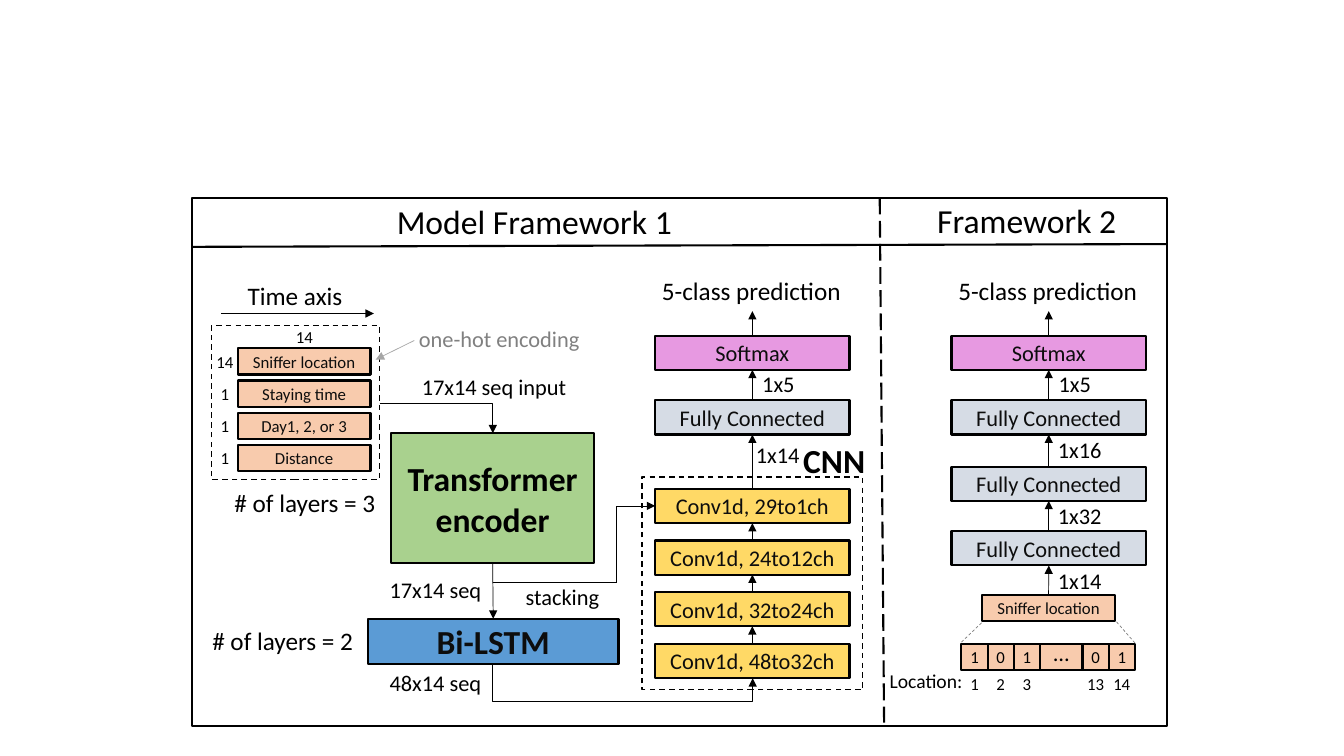
from collections import namedtuple
from itertools import pairwise
from math import cos, radians, sin

from lxml.etree import SubElement
from pptx import Presentation
from pptx.dml.color import RGBColor
from pptx.enum.dml import MSO_LINE_DASH_STYLE as Dash
from pptx.enum.shapes import MSO_CONNECTOR as Link, MSO_SHAPE as Preset
from pptx.enum.text import MSO_ANCHOR as Anchor, MSO_AUTO_SIZE as AutoSize, PP_ALIGN as Align
from pptx.oxml.ns import qn
from pptx.util import Cm, Pt

COLORS = {
    "black": "000000", "ink": "0D0D0D", "gray": "808080", "pale_gray": "A6A6A6",
    "transformer": "A9D18E", "lstm": "5B9BD5", "feature": "F8CBAD",
    "conv": "FFD966", "dense": "D6DCE5", "softmax": "E799E1",
}
FONT = "Calibri"
TOP, BOTTOM = 0, 2
LAYER_HEIGHT = 0.86
BAR_WIDTH, BAR_HEIGHT = 3.35, 0.66

Box = namedtuple("Box", "left top width height")


def rgb(color):
    return RGBColor.from_string(COLORS[color])


def write(frame, text, size, color, bold=False, align=Align.LEFT):
    paragraph = frame.paragraphs[0]
    paragraph.text = text
    paragraph.alignment = align
    font = paragraph.font
    font.name, font.size, font.bold = FONT, Pt(size), bold
    font.color.rgb = rgb(color)


def label(slide, box, x, y, width, text, size=16, color="black", bold=False, align=Align.LEFT):
    height = 0.254 + size * 0.0423
    frame = slide.shapes.add_textbox(
        Cm(box.left + x), Cm(box.top + y), Cm(width), Cm(height)).text_frame
    frame.word_wrap = False
    frame.auto_size = AutoSize.SHAPE_TO_FIT_TEXT
    write(frame, text, size, color, bold, align)


def block(slide, box, x, y, width, height, text="", fill=None, size=16,
          color="ink", bold=False, weight=1.5, dash=None):
    shape = slide.shapes.add_shape(
        Preset.RECTANGLE, Cm(box.left + x), Cm(box.top + y), Cm(width), Cm(height))
    shape.shadow.inherit = False
    if fill:
        shape.fill.solid()
        shape.fill.fore_color.rgb = rgb(fill)
    else:
        shape.fill.background()
    shape.line.color.rgb = rgb("black")
    shape.line.width = Pt(weight)
    if dash:
        shape.line.dash_style = dash
    if text:
        shape.text_frame.vertical_anchor = Anchor.MIDDLE
        write(shape.text_frame, text, size, color, bold, Align.CENTER)
    return shape


def line(slide, box, start, end, color="black", weight=0.5, dash=None, arrow=False, kind=Link.STRAIGHT):
    link = slide.shapes.add_connector(
        kind, Cm(box.left + start[0]), Cm(box.top + start[1]),
        Cm(box.left + end[0]), Cm(box.top + end[1]))
    link.line.color.rgb = rgb(color)
    link.line.width = Pt(weight)
    if dash:
        link.line.dash_style = dash
    if arrow:
        SubElement(link.get_or_add_ln(), qn("a:tailEnd"), type="triangle")
    SubElement(link.element.spPr, qn("a:effectLst"))
    return link


def arrow_between(slide, box, source, target, source_side, target_side):
    link = line(slide, box, (0, 0), (1, 1), arrow=True)
    link.begin_connect(source, source_side)
    link.end_connect(target, target_side)


def elbow_arrow(slide, box, start, end, turn=0, bend=None):
    middle = [(a + b) / 2 for a, b in zip(start, end)]
    angle = radians(-turn)

    def unturned(point):
        dx, dy = point[0] - middle[0], point[1] - middle[1]
        return (middle[0] + dx * cos(angle) - dy * sin(angle),
                middle[1] + dx * sin(angle) + dy * cos(angle))

    link = line(slide, box, unturned(start), unturned(end), arrow=True, kind=Link.ELBOW)
    properties = link.element.spPr
    properties.find(qn("a:xfrm")).set("rot", str(turn * 60000))
    geometry = properties.find(qn("a:prstGeom"))
    if bend is None:
        geometry.set("prst", "bentConnector2")
    else:
        guides = geometry.find(qn("a:avLst"))
        SubElement(guides, qn("a:gd"), name="adj1", fmla=f"val {round(bend * 100000)}")


def frame_region(slide, box):
    block(slide, box, 0, 0, box.width, box.height)
    line(slide, box, (17.34, 0), (17.45, 13.23), weight=1.5, dash=Dash.LONG_DASH)
    line(slide, box, (0, 1.24), (box.width, 1.17), weight=1.5)
    label(slide, box, 4.92, -0.05, 7.49, "Model Framework 1", 24)
    label(slide, box, 18.54, -0.08, 5.05, "Framework 2", 24)


def input_region(slide, box):
    block(slide, box, 0, 0, box.width, box.height, weight=1, dash=Dash.DASH)
    features = [("Sniffer location", "14"), ("Staying time", "1"),
                ("Day1, 2, or 3", "1"), ("Distance", "1")]
    for row, (feature, rows) in enumerate(features):
        block(slide, box, 0.66, 0.58 + 0.81 * row, BAR_WIDTH, BAR_HEIGHT, feature, "feature", 12)
        label(slide, box, -0.13, 0.55 + 0.8 * row, 0.94, rows, 12, align=Align.CENTER)
    label(slide, box, 1.88, -0.1, 0.94, "14", 12)
    label(slide, box, 0.33, 3.96, 4.11, "# of layers = 3", 18)
    label(slide, box, 0.66, -1.27, 2.92, "Time axis", 18)
    line(slide, box, (0.25, -0.3), (4.09, -0.3), arrow=True)
    label(slide, box, 4.98, -0.13, 4.75, "one-hot encoding", color="gray")
    line(slide, box, (5.11, 0.38), (4.14, 0.86), color="pale_gray", arrow=True)
    label(slide, box, 5.05, 1.07, 4.27, "17x14 seq input")


def encoder_region(slide, box):
    transformer = block(slide, box, 0.58, 0, 5.13, 3.28, "Transformer encoder",
                        "transformer", 24, "black", True)
    lstm = block(slide, box, 0, 4.67, box.width, 1.15, "Bi-LSTM", "lstm", 24, bold=True)
    arrow_between(slide, box, transformer, lstm, BOTTOM, TOP)
    label(slide, box, 0.3, 3.48, 2.84, "17x14 seq")
    label(slide, box, -4.17, 4.7, 4.11, "# of layers = 2", 18)
    label(slide, box, 0.3, 5.82, 2.84, "48x14 seq")
    label(slide, box, 3.73, 3.66, 2.39, "stacking")
    elbow_arrow(slide, box, (0.3, -0.76), (3.15, 0))
    line(slide, box, (3.15, 3.76), (6.27, 3.76))
    elbow_arrow(slide, box, (6.27, 3.76), (7.24, 1.83), turn=90)
    elbow_arrow(slide, box, (3.15, 5.82), (9.7, 6.17), turn=270, bend=2.7)


def layer_stack(slide, box, layers):
    shapes = [block(slide, box, 0, top, box.width, LAYER_HEIGHT, text, fill)
              for text, fill, top in layers]
    for upper, lower in pairwise(shapes):
        arrow_between(slide, box, lower, upper, TOP, BOTTOM)
    output = line(slide, box, (box.width / 2, 0), (box.width / 2, -0.62), arrow=True)
    output.begin_connect(shapes[0], TOP)
    label(slide, box, -0.08, -1.65, 5.08, "5-class prediction", 18)
    label(slide, box, 2.45, 0.74, 1.35, "1x5")
    return shapes


def cnn_region(slide, box):
    block(slide, box, -0.33, 3.56, 5.56, 5.36, weight=1, dash=Dash.DASH)
    channels = ["29to1ch", "24to12ch", "32to24ch", "48to32ch"]
    layer_stack(slide, box, [
        ("Softmax", "softmax", 0), ("Fully Connected", "dense", 1.63),
        *((f"Conv1d, {change}", "conv", 3.86 + 1.3 * row) for row, change in enumerate(channels))])
    label(slide, box, 2.29, 2.54, 1.63, "1x14")
    label(slide, box, 3.48, 2.51, 2.08, "CNN", 24, bold=True)


def dense_region(slide, box):
    tops = [1.63, 3.3, 4.93]
    layers = layer_stack(slide, box, [
        ("Softmax", "softmax", 0), *(("Fully Connected", "dense", top) for top in tops)])
    sniffer = block(slide, box, 0.77, 6.53, BAR_WIDTH, BAR_HEIGHT, "Sniffer location", "feature", 12)
    arrow_between(slide, box, sniffer, layers[-1], TOP, BOTTOM)
    for top, size in zip(tops, ["1x16", "1x32", "1x14"]):
        label(slide, box, 2.43, top + 0.77, 1.63, size)


def location_region(slide, box):
    block(slide, box, 0, 0, box.width, box.height, fill="feature")
    cell = 0.66
    dividers = [cell, 2 * cell, 3 * cell, box.width - 2 * cell, box.width - cell]
    for x in dividers:
        line(slide, box, (x, box.height), (x, 0), weight=1.5)
    edges = [0, *dividers, box.width]
    slots = [("1", "1"), ("0", "2"), ("1", "3"), ("…", ""), ("0", "13"), ("1", "14")]
    for (left, right), (bit, place) in zip(pairwise(edges), slots):
        x = (left + right - 0.94) / 2
        if place:
            label(slide, box, x, -0.05, 0.94, bit, 12, align=Align.CENTER)
            label(slide, box, x, 0.61, 0.94, place, 12, align=Align.CENTER)
        else:
            label(slide, box, x, -0.25, 0.94, bit, align=Align.CENTER)
    label(slide, box, -2.06, 0.51, 2.36, "Location:", 14)
    for start, end in [((0, -0.05), (0.53, -0.56)), ((box.width, -0.03), (3.89, -0.58))]:
        line(slide, box, start, end, color="gray", dash=Dash.DASH)


def main():
    presentation = Presentation()
    presentation.slide_width, presentation.slide_height = Cm(33.87), Cm(19.05)
    slide = presentation.slides.add_slide(presentation.slide_layouts[6])
    encoder_region(slide, Box(9.27, 10.92, 6.32, 5.82))
    input_region(slide, Box(5.33, 8.2, 4.24, 3.89))
    cnn_region(slide, Box(16.51, 8.46, 4.9, 8.64))
    dense_region(slide, Box(23.98, 8.46, 4.9, 7.19))
    location_region(slide, Box(24.23, 16.23, 4.37, 0.66))
    frame_region(slide, Box(4.83, 4.98, 24.59, 13.31))
    presentation.save("out.pptx")


if __name__ == "__main__":
    main()
